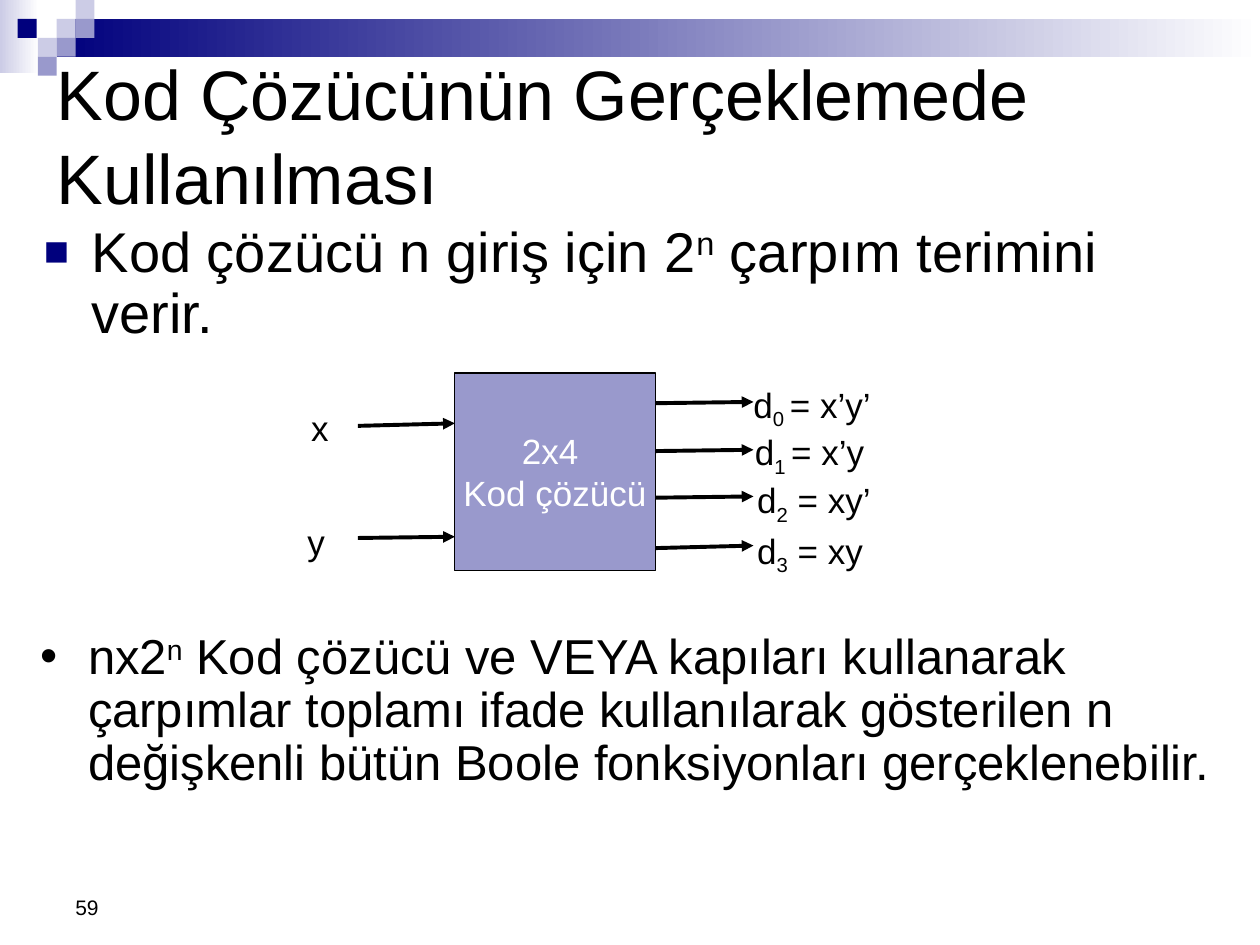
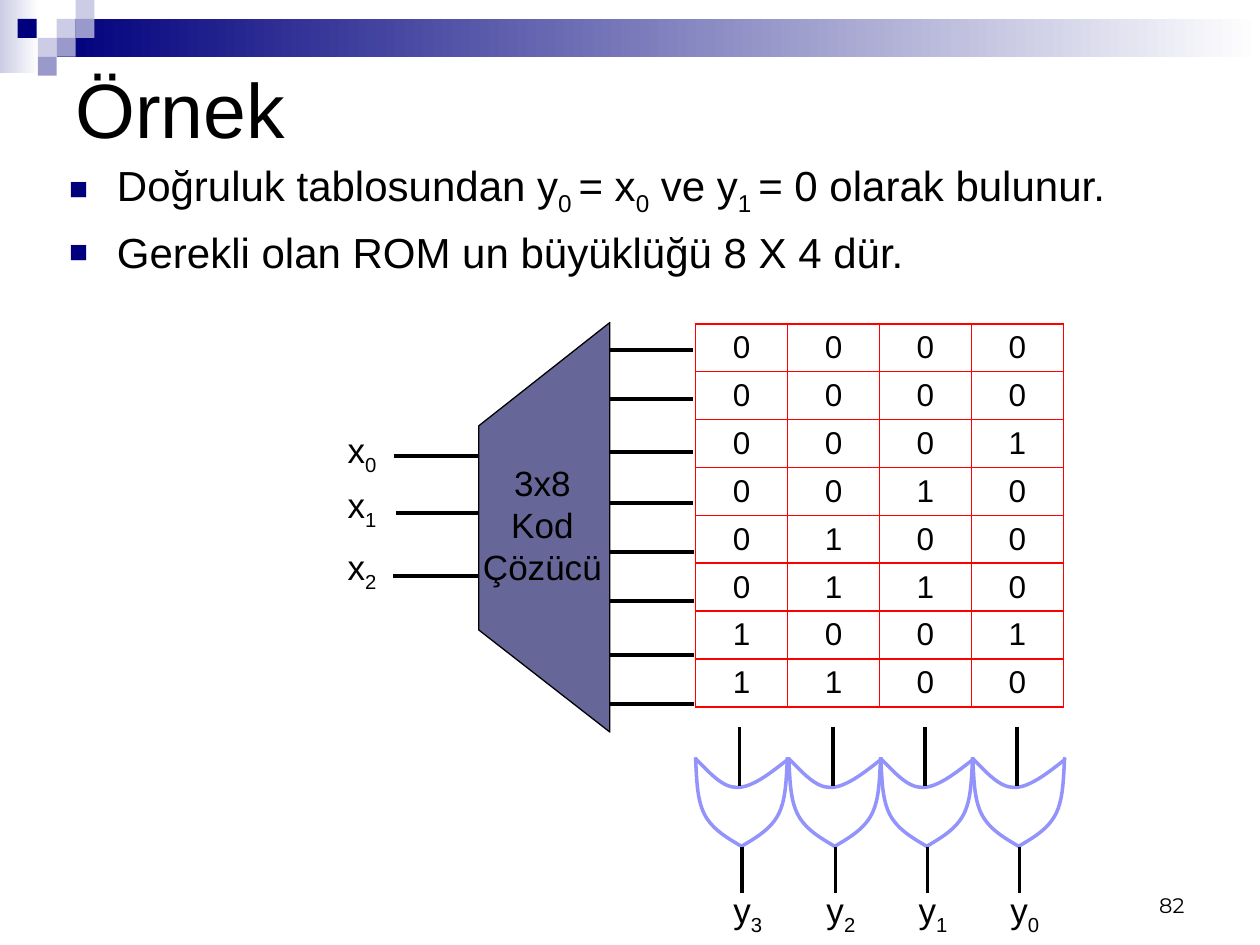
from lxml.etree import SubElement
from pptx import Presentation
from pptx.dml.color import RGBColor
from pptx.enum.shapes import MSO_CONNECTOR, MSO_SHAPE
from pptx.enum.text import MSO_ANCHOR as Anchor, MSO_AUTO_SIZE as AutoSize, PP_ALIGN as Align
from pptx.oxml.ns import qn
from pptx.util import Pt

PX = 9144
BLACK = RGBColor(0x00, 0x00, 0x00)
WHITE = RGBColor(0xFF, 0xFF, 0xFF)
NAVY = RGBColor(0x00, 0x00, 0x7D)
PALE = RGBColor(0xCC, 0xCC, 0xE6)
LILAC = RGBColor(0x99, 0x99, 0xCC)
SLATE = RGBColor(0x66, 0x66, 0x99)
GATE_BLUE = RGBColor(0x93, 0x93, 0xFC)
RED = RGBColor(0xFF, 0x00, 0x00)


def write(owner, text, box=None, size=20, color=BLACK, font="Arial", align=Align.LEFT,
          anchor=Anchor.TOP, wrap=True, inset=True, grow=False, shift=-25,
          bullet=None, bullet_color=None, line_spacing=None, space_before=0):
    if box:
        owner = owner.shapes.add_textbox(*[value * PX for value in box])
    frame = owner.text_frame
    frame.word_wrap = wrap
    frame.vertical_anchor = anchor
    if grow:
        frame.auto_size = AutoSize.SHAPE_TO_FIT_TEXT
    if not inset:
        frame.margin_left = frame.margin_top = frame.margin_right = frame.margin_bottom = 0
    for index, line in enumerate(text.split("\n")):
        paragraph = frame.add_paragraph() if index else frame.paragraphs[0]
        paragraph.alignment = align
        if bullet:
            properties = paragraph._p.get_or_add_pPr()
            properties.set("marL", str(38 * PX))
            properties.set("indent", str(-38 * PX))
            if bullet_color:
                holder = SubElement(properties, qn("a:buClr"))
                SubElement(holder, qn("a:srgbClr")).set("val", str(bullet_color))
                SubElement(properties, qn("a:buSzPct")).set("val", "75000")
            SubElement(properties, qn("a:buFont")).set("typeface", "Arial")
            SubElement(properties, qn("a:buChar")).set("char", bullet)
        if line_spacing:
            paragraph.line_spacing = line_spacing
        if index and space_before:
            paragraph.space_before = Pt(space_before)
        for part, piece in enumerate(line.split("|")):
            if not piece:
                continue
            run = paragraph.add_run()
            run.text = piece
            run.font.size = Pt(size)
            run.font.name = font
            run.font.color.rgb = color
            if part % 2:
                run._r.get_or_add_rPr().set("baseline", str(shift * 1000))


def draw_line(slide, *ends, width=2.25, arrow=False):
    line = slide.shapes.add_connector(MSO_CONNECTOR.STRAIGHT, *[value * PX for value in ends])
    line.line.color.rgb = BLACK
    line.line.width = Pt(width)
    if arrow:
        SubElement(line.line._get_or_add_ln(), qn("a:tailEnd")).set("type", "triangle")
    SubElement(line._element.spPr, qn("a:effectLst"))


presentation = Presentation()
presentation.slide_width = 1000 * PX
presentation.slide_height = 750 * PX
blank = presentation.slide_layouts[6]
decoder_slide = presentation.slides.add_slide(blank)
rom_slide = presentation.slides.add_slide(blank)

bands = [(0, 0, 31, 58, PALE), (45, 15, 955, 30, NAVY)]
squares = [(45, 15, PALE), (60, 0, PALE), (60, 15, LILAC), (30, 30, PALE),
           (14, 15, NAVY), (45, 30, LILAC), (30, 45, LILAC)]
tiles = [(*band, True) for band in bands]
tiles += [(left, top, 15, 15, color, False) for left, top, color in squares]
for slide in presentation.slides:
    for left, top, width, height, color, fades in tiles:
        tile = slide.shapes.add_shape(MSO_SHAPE.RECTANGLE, left * PX, top * PX, width * PX, height * PX)
        tile.shadow.inherit = False
        tile.line.fill.background()
        if fades:
            tile.fill.gradient()
            tile.fill.gradient_angle = 0
            for stop, shade in zip(tile.fill.gradient_stops, (color, WHITE)):
                stop.color.rgb = shade
        else:
            tile.fill.solid()
            tile.fill.fore_color.rgb = color

label_format = dict(wrap=False, inset=False, grow=True)

write(decoder_slide, "59", (50, 683, 233, 52), size=12, anchor=Anchor.BOTTOM)
write(decoder_slide, "Kod Çözücünün Gerçeklemede Kullanılması", (35, 66, 965, 81),
      size=40, anchor=Anchor.MIDDLE)
write(decoder_slide, "Kod çözücü n giriş için 2|n| çarpım terimini verir.", (25, 173, 958, 99),
      size=32, shift=30, bullet="■", bullet_color=NAVY, line_spacing=0.9)

decoder = decoder_slide.shapes.add_shape(MSO_SHAPE.RECTANGLE, 361 * PX, 296 * PX, 159 * PX, 157 * PX)
decoder.shadow.inherit = False
decoder.fill.solid()
decoder.fill.fore_color.rgb = LILAC
decoder.line.color.rgb = BLACK
decoder.line.width = Pt(0.75)
write(decoder, "2x4 \nKod çözücü", color=WHITE, align=Align.CENTER, anchor=Anchor.MIDDLE, wrap=False)

for name, left, top, width, start, end in [("x", 247, 323, 16, 338, 336), ("y", 244, 413, 14, 427, 426)]:
    draw_line(decoder_slide, 284, start, 361, end, arrow=True)
    write(decoder_slide, name, (left, top, width, 33), **label_format)

outputs = [("d|0 |= x’y’", 598, 304, 96, 320, 319), ("d|1 |= x’y", 599, 342, 88, 358, 357),
           ("d|2| = xy’", 601, 380, 94, 395, 394), ("d|3| = xy", 601, 420, 89, 435, 433)]
for term, left, top, width, start, end in outputs:
    draw_line(decoder_slide, 520, start, 598, end, arrow=True)
    write(decoder_slide, term, (left, top, width, 33), **label_format)

write(decoder_slide,
      "nx2|n| Kod çözücü ve VEYA kapıları kullanarak çarpımlar toplamı ifade kullanılarak "
      "gösterilen n değişkenli bütün Boole fonksiyonları gerçeklenebilir.",
      (22, 497, 958, 248), size=28, shift=30, bullet="•", line_spacing=0.9)

write(rom_slide, "Örnek", (50, 50, 900, 71), size=44, anchor=Anchor.MIDDLE)
write(rom_slide,
      "Doğruluk tablosundan y|0 |= x|0| ve y|1 |= 0 olarak bulunur.\n"
      "Gerekli olan ROM un büyüklüğü 8 X 4 dür.",
      (45, 122, 900, 118), size=24, bullet="■", bullet_color=NAVY, space_before=5)
write(rom_slide, "82", (717, 683, 233, 50), size=12, font="Montserrat",
      align=Align.RIGHT, anchor=Anchor.BOTTOM)

rom_words = ["0000", "0000", "0001", "0010", "0100", "0110", "1001", "1100"]
rom = rom_slide.shapes.add_table(8, 4, 552 * PX, 257 * PX, 292 * PX, 304 * PX).table
rom.first_row = rom.horz_banding = False
for column in rom.columns:
    column.width = 73 * PX
for row_index, word in enumerate(rom_words):
    rom.rows[row_index].height = 38 * PX
    for column_index, bit in enumerate(word):
        cell = rom.cell(row_index, column_index)
        cell.margin_top = cell.margin_bottom = 3 * PX
        cell.vertical_anchor = Anchor.MIDDLE
        properties = cell._tc.get_or_add_tcPr()
        for side in ("a:lnL", "a:lnR", "a:lnT", "a:lnB"):
            border = SubElement(properties, qn(side))
            border.set("w", str(Pt(1)))
            border_fill = SubElement(border, qn("a:solidFill"))
            SubElement(border_fill, qn("a:srgbClr")).set("val", str(RED))
        cell.fill.background()
        paragraph = cell.text_frame.paragraphs[0]
        paragraph.alignment = Align.CENTER
        run = paragraph.add_run()
        run.text = bit
        run.font.size = Pt(18)
        run.font.name = "Arial"
        run.font.color.rgb = BLACK

corners = [(484, 581), (380, 500), (380, 338), (484, 256)]
builder = rom_slide.shapes.build_freeform(*corners[0], scale=PX)
builder.add_line_segments(corners[1:], close=True)
trapezoid = builder.convert_to_shape()
trapezoid.shadow.inherit = False
trapezoid.fill.solid()
trapezoid.fill.fore_color.rgb = SLATE
trapezoid.line.color.rgb = BLACK
trapezoid.line.width = Pt(0.75)
write(rom_slide, "3x8\nKod\nÇözücü", (373, 361, 115, 111), align=Align.CENTER, wrap=False, grow=True)

for index, (top, start, wire) in enumerate([(340, 313, 362), (384, 314, 407), (433, 312, 457)]):
    write(rom_slide, f"x|{index}", (276, top, 24, 34), **label_format)
    draw_line(rom_slide, start, wire, 380, wire)
for index, wire in enumerate((278, 317, 359, 399, 438, 477, 520, 559)):
    start = 483 + index // 4
    draw_line(rom_slide, start, wire, start + 67, wire)

left_side = [(0, 601), (1, 618), (1, 634), (7, 646), (13, 658), (25, 665), (37, 672)]
right_side = [(73 - x, y) for x, y in left_side]
top_curve = [(0, 602), (11, 613), (21, 625), (33, 625), (45, 625), (59, 614), (73, 603)]

for index, left in enumerate((552, 626, 699, 772)):
    for controls in (left_side, right_side, top_curve):
        points = [(left + x, y) for x, y in controls]
        builder = rom_slide.shapes.build_freeform(*points[0], scale=PX)
        builder.add_line_segments(points[1:], close=False)
        curve = builder.convert_to_shape()
        curve.shadow.inherit = False
        curve.fill.background()
        curve.line.color.rgb = GATE_BLUE
        curve.line.width = Pt(2)
        segments = list(curve._element.iter(qn("a:lnTo")))
        outline = segments[0].getparent()
        for first in range(0, len(segments), 3):
            bezier = SubElement(outline, qn("a:cubicBezTo"))
            for segment in segments[first:first + 3]:
                bezier.append(segment[0])
                outline.remove(segment)
    draw_line(rom_slide, left + 35, 577, left + 35, 624, width=2)
    draw_line(rom_slide, left + 37, 672, left + 37, 709, width=2)
    write(rom_slide, f"y|{3 - index}", (left + 30, 705, 24, 34), **label_format)

presentation.save("out.pptx")
